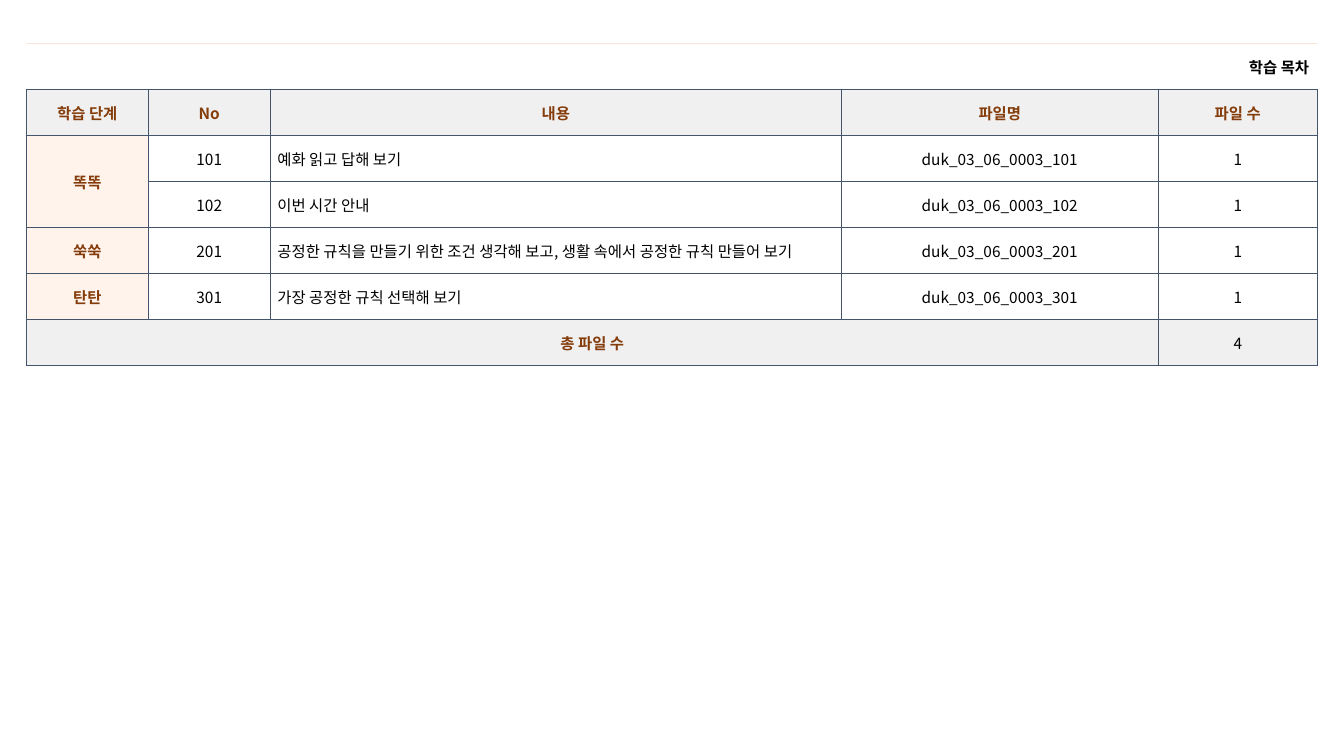
from dataclasses import dataclass

from lxml.etree import SubElement
from pptx import Presentation
from pptx.dml.color import RGBColor
from pptx.enum.text import MSO_ANCHOR, PP_ALIGN
from pptx.oxml.ns import qn
from pptx.util import Pt


@dataclass(frozen=True)
class Theme:
    """Colours, font and sizes of the slide."""
    font: str = "Noto Sans CJK KR"
    text_size: float = 11
    text: str = "000000"
    accent: str = "843C0B"
    band: str = "F1F0F0"
    stage: str = "FFF3EB"
    plain: str = "FFFFFF"
    border: str = "44546A"
    top_rule: str = "FBE5D6"
    border_width: float = 0.5
    top_rule_width: float = 0.25


@dataclass(frozen=True)
class Box:
    """A region of the slide, in points."""
    left: float
    top: float
    width: float
    height: float


THEME = Theme()
CAPTION = "학습 목차"
HEADINGS = ["학습 단계", "No", "내용", "파일명", "파일 수"]
LESSONS = [
    ["똑똑", "101", "예화 읽고 답해 보기", "duk_03_06_0003_101", "1"],
    ["", "102", "이번 시간 안내", "duk_03_06_0003_102", "1"],
    ["쑥쑥", "201", "공정한 규칙을 만들기 위한 조건 생각해 보고, 생활 속에서 공정한 규칙 만들어 보기",
     "duk_03_06_0003_201", "1"],
    ["탄탄", "301", "가장 공정한 규칙 선택해 보기", "duk_03_06_0003_301", "1"],
]
TOTAL = ["총 파일 수", "", "", "", "4"]
COLUMN_SHARES = [122, 122, 571, 317, 159]
STAGE_COLUMN, CONTENT_COLUMN = 0, 2


def set_borders(cell, edges):
    """Draw the cell edges, given as side: (colour, width), and hide the others."""
    properties = cell._tc.get_or_add_tcPr()
    for position, side in enumerate("LRTB"):
        line = SubElement(properties, qn(f"a:ln{side}"))
        properties.insert(position, line)
        if side in edges:
            colour, width = edges[side]
            line.set("w", str(Pt(width)))
            fill = SubElement(line, qn("a:solidFill"))
            SubElement(fill, qn("a:srgbClr")).set("val", colour)
        else:
            SubElement(line, qn("a:noFill"))


def write_cell(cell, text, colour, bold, align):
    """Write one formatted run into a cell."""
    para = cell.text_frame.paragraphs[0]
    para.alignment = align
    span = para.add_run()
    span.text = text
    span.font.size = Pt(THEME.text_size)
    span.font.bold = bold
    span.font.color.rgb = RGBColor.from_string(colour)
    span.font.name = THEME.font
    SubElement(span.font._element, qn("a:ea")).set("typeface", THEME.font)


def format_cell(cell, fill, side_margin, edges):
    """Set the fill, margins, anchor and borders of a cell."""
    cell.vertical_anchor = MSO_ANCHOR.MIDDLE
    cell.margin_left = cell.margin_right = Pt(side_margin)
    cell.margin_top = cell.margin_bottom = Pt(3.6)
    if fill:
        cell.fill.solid()
        cell.fill.fore_color.rgb = RGBColor.from_string(fill)
    else:
        cell.fill.background()
    set_borders(cell, edges)


def add_caption_row(table):
    """Fill the first row with the right-aligned caption."""
    edges = {"T": (THEME.top_rule, THEME.top_rule_width),
             "B": (THEME.border, THEME.border_width)}
    for cell in table.rows[0].cells:
        format_cell(cell, None, 5.76, edges)
    caption = table.cell(0, 0)
    caption.merge(table.cell(0, len(HEADINGS) - 1))
    write_cell(caption, CAPTION, THEME.text, True, PP_ALIGN.RIGHT)


def add_body_rows(table):
    """Fill the heading, lesson and total rows."""
    edges = dict.fromkeys("LRTB", (THEME.border, THEME.border_width))
    body = [HEADINGS, *LESSONS, TOTAL]
    for row, texts in enumerate(body, start=1):
        for column, text in enumerate(texts):
            cell = table.cell(row, column)
            is_lesson = 1 < row < len(body)
            is_stage = column == STAGE_COLUMN
            is_label = row == 1 or is_stage
            if is_lesson:
                fill = THEME.stage if is_stage else THEME.plain
            else:
                fill = THEME.band
            format_cell(cell, fill, 5.1, edges)
            if text:
                is_content = is_lesson and column == CONTENT_COLUMN
                write_cell(cell, text, THEME.accent if is_label else THEME.text, is_label,
                           PP_ALIGN.LEFT if is_content else PP_ALIGN.CENTER)
    table.cell(2, STAGE_COLUMN).merge(table.cell(3, STAGE_COLUMN))
    table.cell(len(body), 0).merge(table.cell(len(body), len(HEADINGS) - 2))


def add_contents_table(page, box):
    """Place the table of contents in the given box."""
    row_count = len(LESSONS) + 3
    table = page.shapes.add_table(row_count, len(HEADINGS), Pt(box.left), Pt(box.top),
                                  Pt(box.width), Pt(box.height)).table
    table.first_row = table.horz_banding = False
    for column, share in zip(table.columns, COLUMN_SHARES):
        column.width = Pt(box.width * share / sum(COLUMN_SHARES))
    for row in table.rows:
        row.height = Pt(box.height / row_count)
    add_caption_row(table)
    add_body_rows(table)


def main():
    """Build and save the slide."""
    deck = Presentation()
    deck.slide_width, deck.slide_height = Pt(960), Pt(540)
    page = deck.slides.add_slide(deck.slide_layouts[6])
    add_contents_table(page, Box(18.8, 31, 922.2, 230))
    deck.save("out.pptx")


if __name__ == "__main__":
    main()
